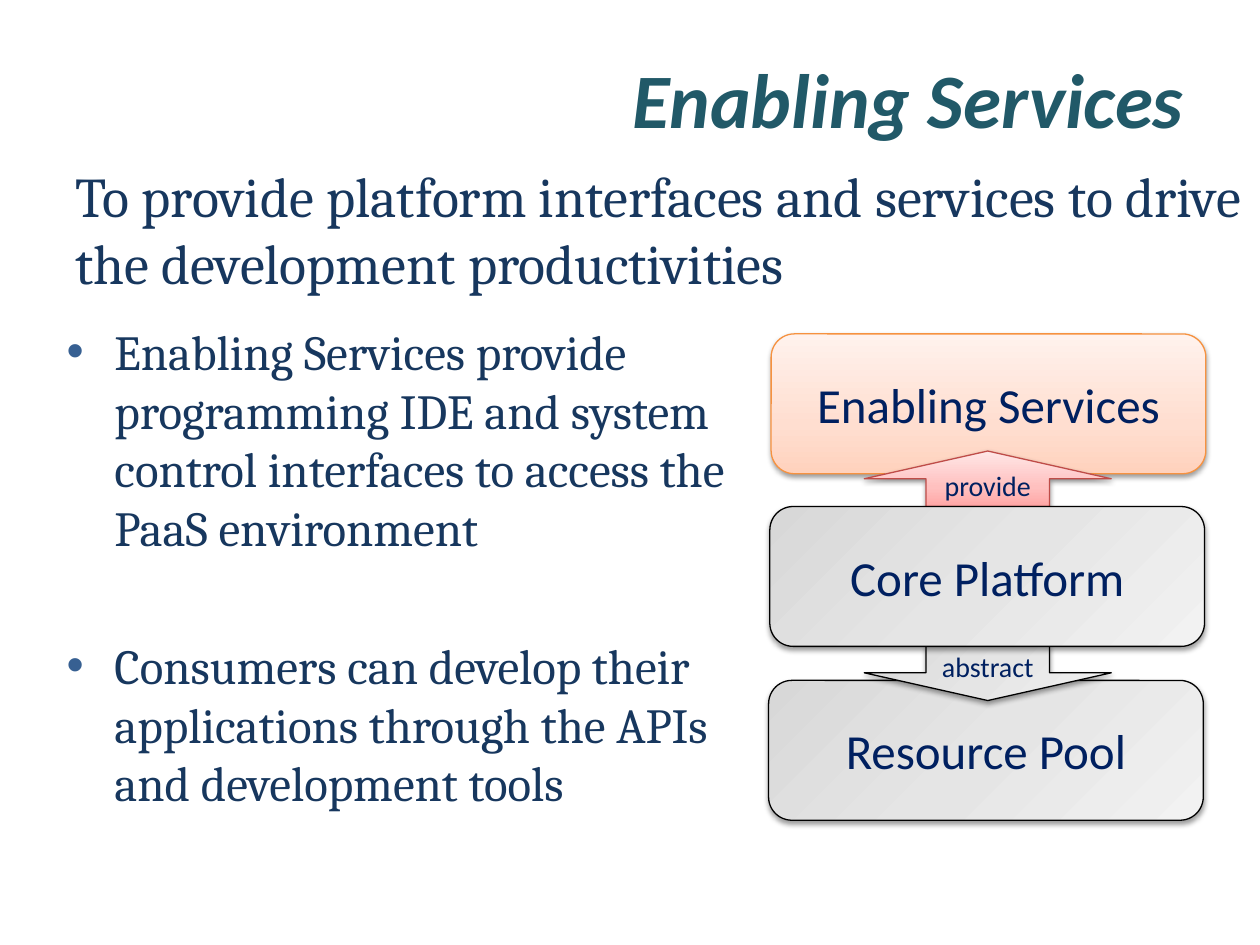
from pptx import Presentation
from pptx.dml.color import RGBColor
from pptx.enum.shapes import MSO_SHAPE
from pptx.enum.text import MSO_ANCHOR, PP_ALIGN
from pptx.oxml import parse_xml
from pptx.oxml.ns import qn
from pptx.util import Inches, Pt

# Content
TITLE = "Enabling Services"
SUMMARY = "To provide platform interfaces and services to drive the development productivities"
BULLETS = [
    "Enabling Services provide programming IDE and system control interfaces "
    "to access the PaaS environment",
    "Consumers can develop their applications through the APIs and development tools",
]

# Formats
TITLE_FONT = {"name": "Calibri", "size": 44, "color": "215968", "bold": True, "italic": True}
SUMMARY_FONT = {"name": "Cambria", "size": 32, "color": "17375E"}
BULLET_FONT = {**SUMMARY_FONT, "size": 28}
LAYER_FONT = {"name": "Calibri", "size": 28, "color": "002060"}
ARROW_FONT = {**LAYER_FONT, "size": 16}

# Gradient stops, angle and outline of each look
GRAY = {"stops": [(0, "D8D8D8"), (50, "E5E5E5"), (100, "F2F2F2")], "angle": 45, "line": "000000"}
ORANGE = {"stops": [(0, "FFD2BD"), (35, "FFDED0"), (100, "FFF2ED")], "angle": 270, "line": "F69240"}
RED = {"stops": [(0, "FFA6A5"), (35, "FFC0BF"), (100, "FFE7E7")], "angle": 270, "line": "BF4C48"}

# Diagram, back to front: text, preset, left, top, look
LAYER, DOWN, UP = MSO_SHAPE.ROUNDED_RECTANGLE, MSO_SHAPE.DOWN_ARROW, MSO_SHAPE.UP_ARROW
DIAGRAM = [
    ("Resource Pool", LAYER, 6.10, 5.40, GRAY),
    ("abstract", DOWN, 6.86, 5.12, GRAY),
    ("Enabling Services", LAYER, 6.12, 2.65, ORANGE),
    ("provide", UP, 6.86, 3.58, RED),
    ("Core Platform", LAYER, 6.11, 4.02, GRAY),
]
LAYER_SIZE, ARROW_SIZE = (3.45, 1.11), (1.96, 0.44)
NAMESPACE = 'xmlns:a="http://schemas.openxmlformats.org/drawingml/2006/main"'


def color(value):
    return RGBColor.from_string(value)


def write(para, text, style):
    span = para.add_run()
    span.text = text
    for key, value in style.items():
        if key == "color":
            span.font.color.rgb = color(value)
        else:
            setattr(span.font, key, Pt(value) if key == "size" else value)


def add_text_box(page, *place):
    box = page.shapes.add_textbox(*map(Inches, place))
    box.text_frame.word_wrap = True
    return box.text_frame


def add_bullet(para):
    properties = para._p.get_or_add_pPr()
    properties.set("marL", str(Inches(0.38)))
    properties.set("indent", str(-Inches(0.38)))
    for xml in (
        f'<a:buClr {NAMESPACE}><a:srgbClr val="376092"/></a:buClr>',
        f'<a:buFont {NAMESPACE} typeface="Arial"/>',
        f'<a:buChar {NAMESPACE} char="•"/>',
    ):
        properties.append(parse_xml(xml))


def apply_look(shape, look):
    shape.line.color.rgb = color(look["line"])
    shape.line.width = Pt(0.75)
    stops = "".join(
        f'<a:gs pos="{position * 1000}"><a:srgbClr val="{value}"/></a:gs>'
        for position, value in look["stops"]
    )
    properties = shape.element.spPr
    properties.find(qn("a:prstGeom")).addnext(parse_xml(
        f'<a:gradFill {NAMESPACE} rotWithShape="1"><a:gsLst>{stops}</a:gsLst>'
        f'<a:lin ang="{look["angle"] * 60000}" scaled="0"/></a:gradFill>'
    ))
    # Soft shadow straight below
    shape.shadow.inherit = False
    properties.find(qn("a:effectLst")).append(parse_xml(
        f'<a:outerShdw {NAMESPACE} blurRad="{Pt(3.1)}" dist="{Pt(1.6)}" dir="5400000" '
        'rotWithShape="0"><a:srgbClr val="000000"><a:alpha val="38000"/></a:srgbClr></a:outerShdw>'
    ))


def main():
    deck = Presentation()
    deck.slide_width, deck.slide_height = Inches(10), Inches(7.5)
    page = deck.slides.add_slide(deck.slide_layouts[5])

    # Title
    title = page.shapes.title
    title.left, title.top, title.width, title.height = map(Inches, (0.5, 0.15, 9, 1.25))
    title.text_frame.vertical_anchor = MSO_ANCHOR.MIDDLE
    para = title.text_frame.paragraphs[0]
    para.alignment = PP_ALIGN.RIGHT
    write(para, TITLE, TITLE_FONT)

    # Bullets
    frame = add_text_box(page, 0.43, 2.5, 5.51, 4.95)
    for index, text in enumerate(BULLETS):
        para = frame.add_paragraph() if index else frame.paragraphs[0]
        if index:
            para.space_before = Pt(45)
        add_bullet(para)
        write(para, text, BULLET_FONT)

    # Platform layers and the arrows between them
    group = page.shapes.add_group_shape()
    for text, preset, left, top, look in DIAGRAM:
        is_layer = preset == LAYER
        size = LAYER_SIZE if is_layer else ARROW_SIZE
        shape = group.shapes.add_shape(preset, *map(Inches, (left, top, *size)))
        apply_look(shape, look)
        shape.text_frame.vertical_anchor = MSO_ANCHOR.MIDDLE
        para = shape.text_frame.paragraphs[0]
        para.alignment = PP_ALIGN.CENTER
        write(para, text, LAYER_FONT if is_layer else ARROW_FONT)

    # Summary
    frame = add_text_box(page, 0.5, 1.23, 9.5, 1.26)
    write(frame.paragraphs[0], SUMMARY, SUMMARY_FONT)

    deck.save("out.pptx")


if __name__ == "__main__":
    main()
